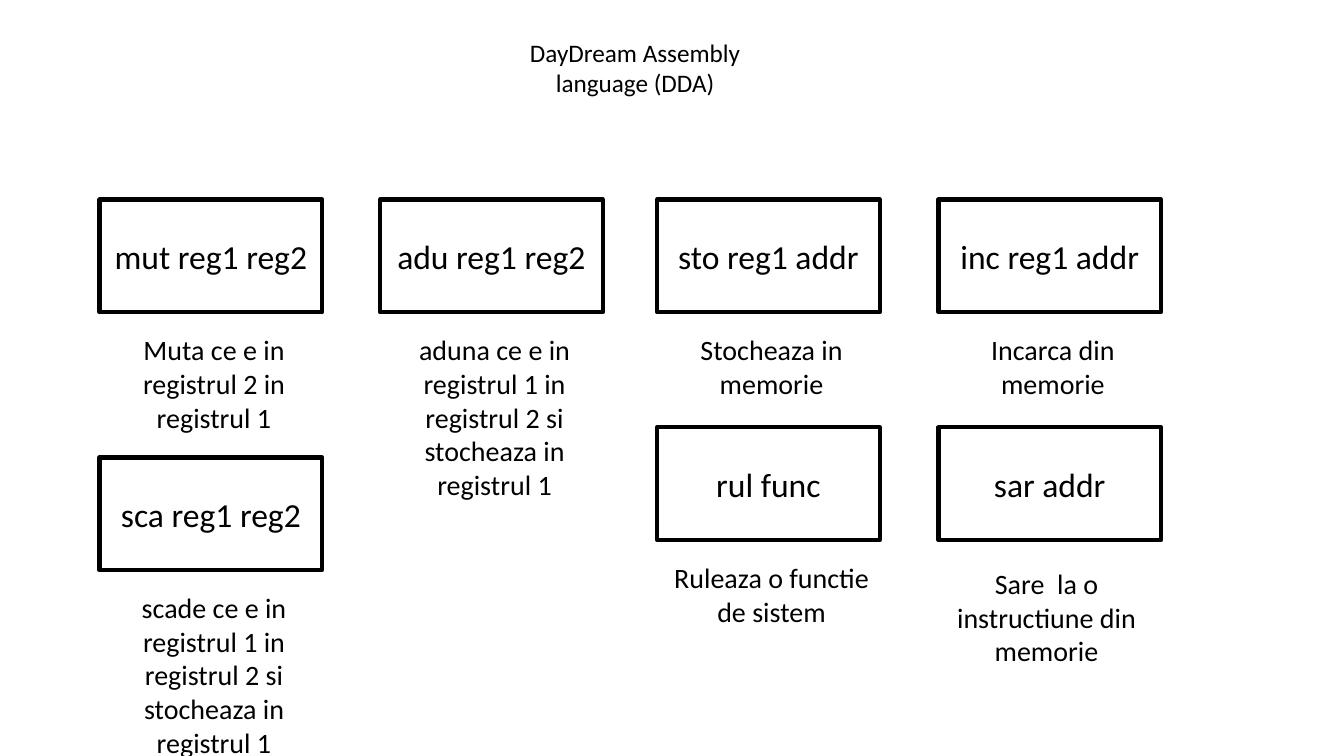
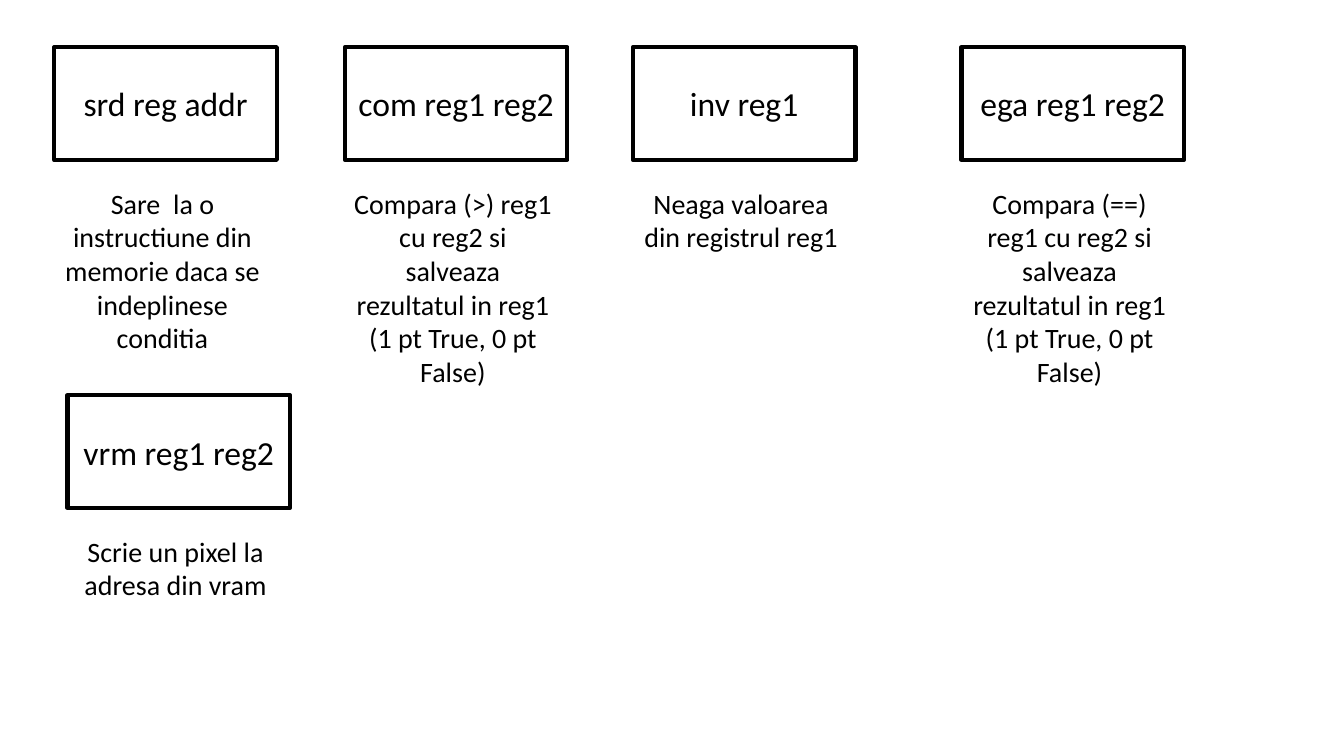
from pptx import Presentation
from pptx.dml.color import RGBColor
from pptx.enum.shapes import MSO_SHAPE
from pptx.enum.text import MSO_ANCHOR, MSO_AUTO_SIZE, PP_ALIGN
from pptx.util import Cm, Pt

RECT = MSO_SHAPE.RECTANGLE
TOP, MIDDLE = MSO_ANCHOR.TOP, MSO_ANCHOR.MIDDLE
GROW, FIXED = MSO_AUTO_SIZE.SHAPE_TO_FIT_TEXT, MSO_AUTO_SIZE.NONE
CENTER = PP_ALIGN.CENTER
TITLED, BLANK = 5, 6

COLORS = {"ink": "000000", "paper": "FFFFFF"}
FONT = "Calibri"

# Sizes in centimetres
BOX_W, BOX_H = 5.61, 2.84
LINE_H, PAD = 0.855, 0.25
NEAR = (0.08, 3.23)
FAR = (-0.08, 3.38)


def color(name):
    return RGBColor.from_string(COLORS[name])


def write(shape, text, size=20, anchor=TOP, wrap=True, fit=GROW):
    frame = shape.text_frame
    frame.word_wrap = wrap
    frame.auto_size = fit
    frame.vertical_anchor = anchor
    para = frame.paragraphs[0]
    para.alignment = CENTER
    run = para.add_run()
    run.text = text
    run.font.name = FONT
    run.font.size = Pt(size)
    run.font.color.rgb = color("ink")


class Deck:
    def __init__(self):
        self.prs = Presentation()
        self.prs.slide_width = Cm(33.87)
        self.prs.slide_height = Cm(19.05)
        self.slide = None

    def page(self, layout):
        self.slide = self.prs.slides.add_slide(self.prs.slide_layouts[layout])

    def title(self, text, x, y, w, h):
        shape = self.slide.shapes.title
        shape.left, shape.top = Cm(x), Cm(y)
        shape.width, shape.height = Cm(w), Cm(h)
        write(shape, text, size=18)

    def box(self, text, x, y):
        shape = self.slide.shapes.add_shape(
            RECT, Cm(x), Cm(y), Cm(BOX_W), Cm(BOX_H))
        shape.shadow.inherit = False
        shape.fill.solid()
        shape.fill.fore_color.rgb = color("paper")
        shape.line.color.rgb = color("ink")
        shape.line.width = Pt(3)
        write(shape, text, size=24, anchor=MIDDLE, wrap=False, fit=FIXED)

    def note(self, text, x, y, lines):
        shape = self.slide.shapes.add_textbox(
            Cm(x), Cm(y), Cm(BOX_W), Cm(PAD + lines * LINE_H))
        write(shape, text)

    def command(self, x, y, code, text, lines, shift):
        self.box(code, x, y)
        self.note(text, x + shift[0], y + shift[1], lines)


deck = Deck()

# Slide 1: moves, sums, memory and jumps
deck.page(TITLED)
deck.title("DayDream Assembly language (DDA)", 11.89, 0.81, 8.23, 1.8)
MOVE, ADD, STORE, LOAD = 2.51, 9.58, 16.56, 23.65
ROW, MID, LOW = 5.03, 10.77, 11.53
for item in [
    (MOVE, ROW, "mut reg1 reg2", "Muta ce e in registrul 2 in registrul 1",
     3, NEAR),
    (ADD, ROW, "adu reg1 reg2",
     "aduna ce e in registrul 1 in registrul 2 si stocheaza in registrul 1",
     5, NEAR),
    (STORE, ROW, "sto reg1 addr", "Stocheaza in memorie", 2, NEAR),
    (LOAD, ROW, "inc reg1 addr", "Incarca din memorie", 2, NEAR),
    (MOVE, LOW, "sca reg1 reg2",
     "scade ce e in registrul 1 in registrul 2 si stocheaza in registrul 1",
     5, NEAR),
    (STORE, MID, "rul func", "Ruleaza o functie de sistem", 2, NEAR),
    (LOAD, MID, "sar addr", "Sare  la o instructiune din memorie", 3, FAR),
]:
    deck.command(*item)

# Slide 2: conditions and video memory
deck.page(BLANK)
ROW = 1.19
TEST = ("Compara ({}) reg1 cu reg2 si salveaza rezultatul in reg1 "
        "(1 pt True, 0 pt False)")
for item in [
    (1.37, ROW, "srd reg addr",
     "Sare  la o instructiune din memorie daca se indeplinese conditia", 5),
    (8.69, ROW, "com reg1 reg2", TEST.format(">"), 6),
    (15.95, ROW, "inv reg1", "Neaga valoarea din registrul reg1", 2),
    (24.23, ROW, "ega reg1 reg2", TEST.format("=="), 6),
    (1.7, 9.96, "vrm reg1 reg2", "Scrie un pixel la adresa din vram", 2),
]:
    deck.command(*item, FAR)

deck.prs.save("out.pptx")
